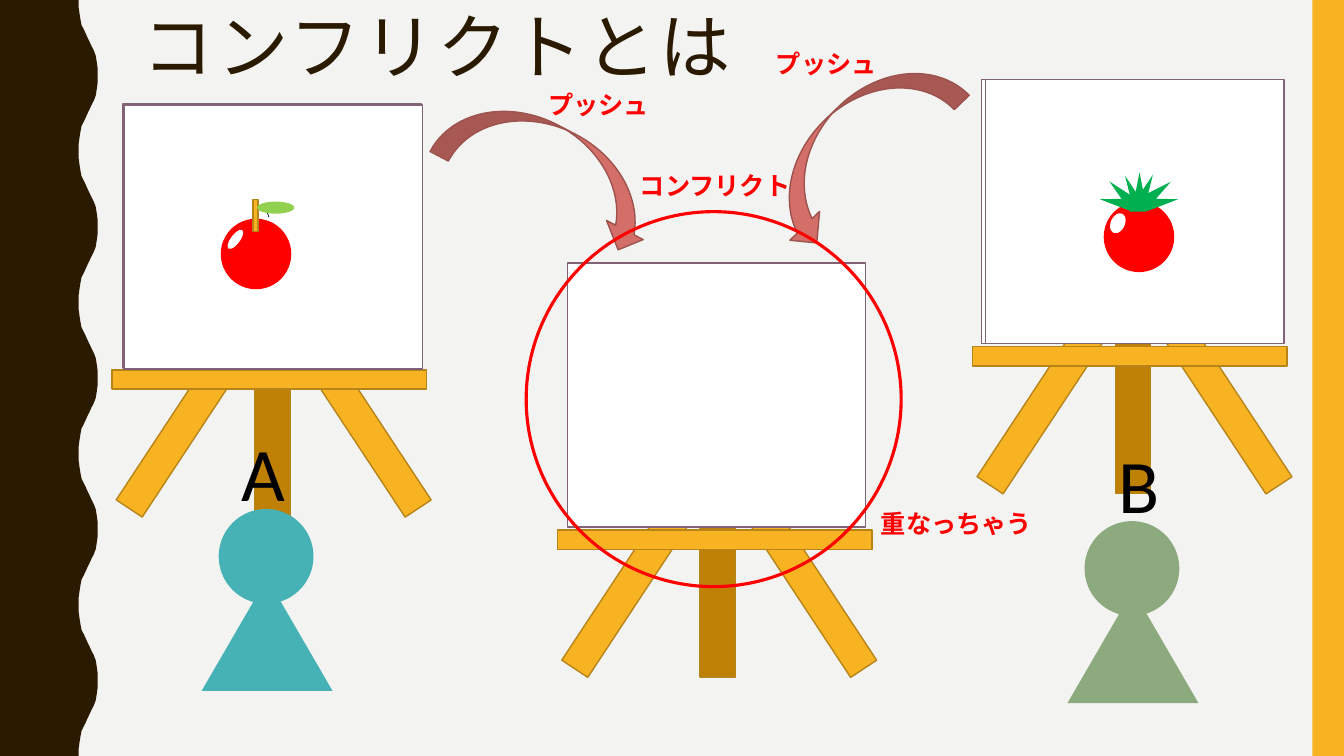
"""Build the slide on conflicts: A and B both push their drawing to one shared board."""
from dataclasses import dataclass, replace

from pptx import Presentation
from pptx.dml.color import RGBColor
from pptx.enum.shapes import MSO_SHAPE as Preset
from pptx.enum.text import MSO_ANCHOR as Anchor, MSO_AUTO_SIZE as AutoSize
from pptx.shapes.autoshape import Shape
from pptx.shapes.shapetree import GroupShapes, SlideShapes
from pptx.util import Pt

Canvas = SlideShapes | GroupShapes

BROWN, AMBER, AMBER_EDGE, POST = "2A1A00", "F8B323", "B7841A", "BE8106"
PAPER, PAPER_EDGE, RED, GREEN, LIME = "FFFFFF", "826276", "FF0000", "00B050", "92D050"
ARROW, ARROW_EDGE, BLACK = "D36F68", "9C524D", "000000"
HALF_WAVE = [
    (56.2, 0), (56.2, 5), (56.9, 10), (57.6, 14.4), (58.3, 18), (59.8, 20.9),
    (61.2, 23.8), (62.6, 27), (64.1, 30), (65.5, 33.1), (67, 36), (68.4, 39.6),
    (69.1, 43.9), (69.8, 49), (69.8, 54),
]
WAVE_PERIOD, WAVE_COUNT = 108, 5


@dataclass(frozen=True)
class Part:
    preset: Preset
    left: float
    top: float
    width: float
    height: float
    fill: str | None = None
    edge: str | None = None
    weight: float = 1
    rotation: float = 0
    flipped: bool = False
    angles: tuple[float, ...] = ()


@dataclass(frozen=True)
class Person:
    name: str
    left: float
    top: float
    name_shift: float
    tint: str


@dataclass(frozen=True)
class Label:
    text: str
    left: float
    top: float
    width: float


SHEET = Part(Preset.RECTANGLE, 0, 0, 213.12, 188.64, PAPER, PAPER_EDGE)
STAND = [
    Part(Preset.RECTANGLE, 39.6, -8.64, 231.12, 22.32, AMBER, AMBER_EDGE, rotation=236.6),
    Part(Preset.RECTANGLE, -39.6, -8.64, 231.12, 22.32, AMBER, AMBER_EDGE, rotation=123.4),
    Part(Preset.RECTANGLE, 0, -22.32, 228.96, 25.2, POST, AMBER_EDGE, rotation=90),
    Part(Preset.RECTANGLE, 0, 0, 224.64, 13.68, AMBER, AMBER_EDGE),
]
LEAVES = [
    Part(Preset.ISOSCELES_TRIANGLE, left, top, width, height, GREEN, rotation=rotation)
    for left, top, width, height, rotation in [
        (822.24, 125.28, 9.36, 23.76, 52.2),
        (815.76, 123.84, 7.2, 20.88, 23.9),
        (825.12, 132.48, 9.36, 23.76, 80.1),
        (796.32, 126, 9.36, 23.76, 314.1),
        (804.24, 124.56, 7.2, 20.88, 336.1),
        (792.72, 132.48, 9.36, 23.76, 279.9),
        (809.28, 123.12, 9.36, 23.76, 0),
    ]
]
TOMATO = [
    Part(Preset.OVAL, 788.4, 144, 50.4, 50.4, RED),
    *LEAVES,
    Part(Preset.OVAL, 793.44, 151.92, 10.08, 15.12, PAPER, rotation=24.4),
    Part(Preset.RECTANGLE, 807.12, 145.44, 11.52, 5.76, GREEN),
]
APPLE = [
    Part(Preset.OVAL, 157.68, 156.24, 50.4, 50.4, RED),
    Part(Preset.RECTANGLE, 180.72, 142.56, 3.6, 23.04, AMBER, AMBER_EDGE),
    Part(Preset.ARC, 172.8, 147.6, 19.44, 18.72, None, BLACK, 0.5, 144.8,
         angles=(162, 203.865)),
    Part(Preset.OVAL, 183.6, 144, 26.64, 8.64, LIME),
    Part(Preset.OVAL, 164.88, 162.72, 6.48, 16.56, PAPER, rotation=36.8),
]
PUSH_ARROWS = [
    Part(Preset.CURVED_RIGHT_ARROW, 582.48, 21.6, 59.04, 166.32, ARROW, ARROW_EDGE,
         rotation=45.9),
    Part(Preset.CURVED_RIGHT_ARROW, 365.04, 37.44, 59.04, 166.32, ARROW, ARROW_EDGE,
         rotation=297.6, flipped=True),
]
CONFLICT_RING = Part(Preset.OVAL, 375.84, 151.2, 267.84, 267.84, None, RED, 2.25)
PEOPLE = [
    Person("A", 156.24, 363.6, 9.36, "46B2B5"),
    Person("B", 774.72, 372.24, 17.28, "8CAA7E"),
]
LABELS = [
    Label("プッシュ", 384.48, 60.48, 87.12),
    Label("プッシュ", 547.2, 30.96, 87.12),
    Label("重なっちゃう", 622.08, 359.28, 123.84),
    Label("コンフリクト", 450, 118.08, 123.84),
]


def color(hex_code: str) -> RGBColor:
    return RGBColor.from_string(hex_code)


def paint(figure: Shape, fill: str | None, edge: str | None = None, weight: float = 1) -> None:
    figure.shadow.inherit = False
    if fill:
        figure.fill.solid()
        figure.fill.fore_color.rgb = color(fill)
    else:
        figure.fill.background()
    if edge:
        figure.line.color.rgb = color(edge)
        figure.line.width = Pt(weight)
    else:
        figure.line.fill.background()


def draw(canvas: Canvas, part: Part, dx: float = 0, dy: float = 0) -> None:
    figure = canvas.add_shape(part.preset, Pt(part.left + dx), Pt(part.top + dy),
                              Pt(part.width), Pt(part.height))
    paint(figure, part.fill, part.edge, part.weight)
    figure.rotation = part.rotation
    for index, degrees in enumerate(part.angles):
        figure.adjustments[index] = degrees * 0.6
    if part.flipped:
        figure._element.spPr.get_or_add_xfrm().set("flipH", "1")


def draw_group(slide_shapes: SlideShapes, parts: list[Part], dx: float = 0,
               dy: float = 0) -> GroupShapes:
    members = slide_shapes.add_group_shape().shapes
    for part in parts:
        draw(members, part, dx, dy)
    return members


def write(canvas: Canvas, text: str, left: float, top: float, width: float, height: float, *,
          size: float, ink: str, font: str = "Calibri", bold: bool = False, wrap: bool = True,
          grow: bool = True, line_spacing: float | None = None, tracking: float = 0) -> None:
    box = canvas.add_textbox(Pt(left), Pt(top), Pt(width), Pt(height))
    frame = box.text_frame
    frame.word_wrap = wrap
    frame.auto_size = AutoSize.SHAPE_TO_FIT_TEXT if grow else AutoSize.NONE
    frame.vertical_anchor = Anchor.TOP
    paragraph = frame.paragraphs[0]
    paragraph.line_spacing = line_spacing
    run = paragraph.add_run()
    run.text = text
    run.font.name, run.font.size, run.font.bold = font, Pt(size), bold
    run.font.color.rgb = color(ink)
    if tracking:
        run._r.get_or_add_rPr().set("spc", str(round(tracking * 100)))


def draw_wave(canvas: SlideShapes) -> None:
    period = HALF_WAVE + [(x, WAVE_PERIOD - y) for x, y in reversed(HALF_WAVE[:-1])]
    bottom = WAVE_PERIOD * WAVE_COUNT
    outline = [(x, y + cycle * WAVE_PERIOD) for cycle in range(WAVE_COUNT) for x, y in period]
    builder = canvas.build_freeform(0, 0)
    builder.add_line_segments([(Pt(x), Pt(y)) for x, y in outline + [(0, bottom)]], close=True)
    paint(builder.convert_to_shape(), BROWN)


def draw_person(canvas: SlideShapes, person: Person) -> None:
    body = [
        Part(Preset.OVAL, 0, 0, 67.68, 67.68, person.tint),
        Part(Preset.ISOSCELES_TRIANGLE, -12.24, 49.32, 93.6, 80.64, person.tint),
    ]
    members = draw_group(canvas, body, person.left, person.top)
    write(members, person.name, person.left + person.name_shift, person.top - 63,
          63.36, 72.72, size=54, ink=BLACK)


def main() -> None:
    deck = Presentation()
    deck.slide_width, deck.slide_height = Pt(960), Pt(540)
    slide = deck.slides.add_slide(deck.slide_layouts[6])
    slide.background.fill.solid()
    slide.background.fill.fore_color.rgb = color("F3F3F2")
    canvas = slide.shapes

    draw_wave(canvas)
    draw(canvas, Part(Preset.RECTANGLE, 937.44, 0, 22.56, 540, AMBER))
    draw_group(canvas, STAND, 694.8, 247.68)
    draw(canvas, SHEET, 701.28, 56.88)
    draw_group(canvas, STAND, 79.92, 264.24)
    for left, top in [(87.84, 74.16), (88.56, 74.88), (704.16, 56.88)]:
        draw(canvas, SHEET, left, top)
    write(canvas, "コンフリクトとは", 95.04, 5.04, 801.36, 80.64, size=51, ink=BROWN,
          font="Roboto Condensed", grow=False, line_spacing=0.9, tracking=2)
    for person in PEOPLE:
        draw_person(canvas, person)
    shared_sheet = replace(SHEET, left=7.2, top=-190.8)
    draw_group(canvas, [*STAND, shared_sheet], 398.16, 378.72)
    draw_group(canvas, TOMATO)
    draw_group(canvas, APPLE)
    for part in [*PUSH_ARROWS, CONFLICT_RING]:
        draw(canvas, part)
    for label in LABELS:
        write(canvas, label.text, label.left, label.top, label.width, 28.8,
              size=18, ink=RED, bold=True, wrap=False)
    deck.save("out.pptx")


if __name__ == "__main__":
    main()
